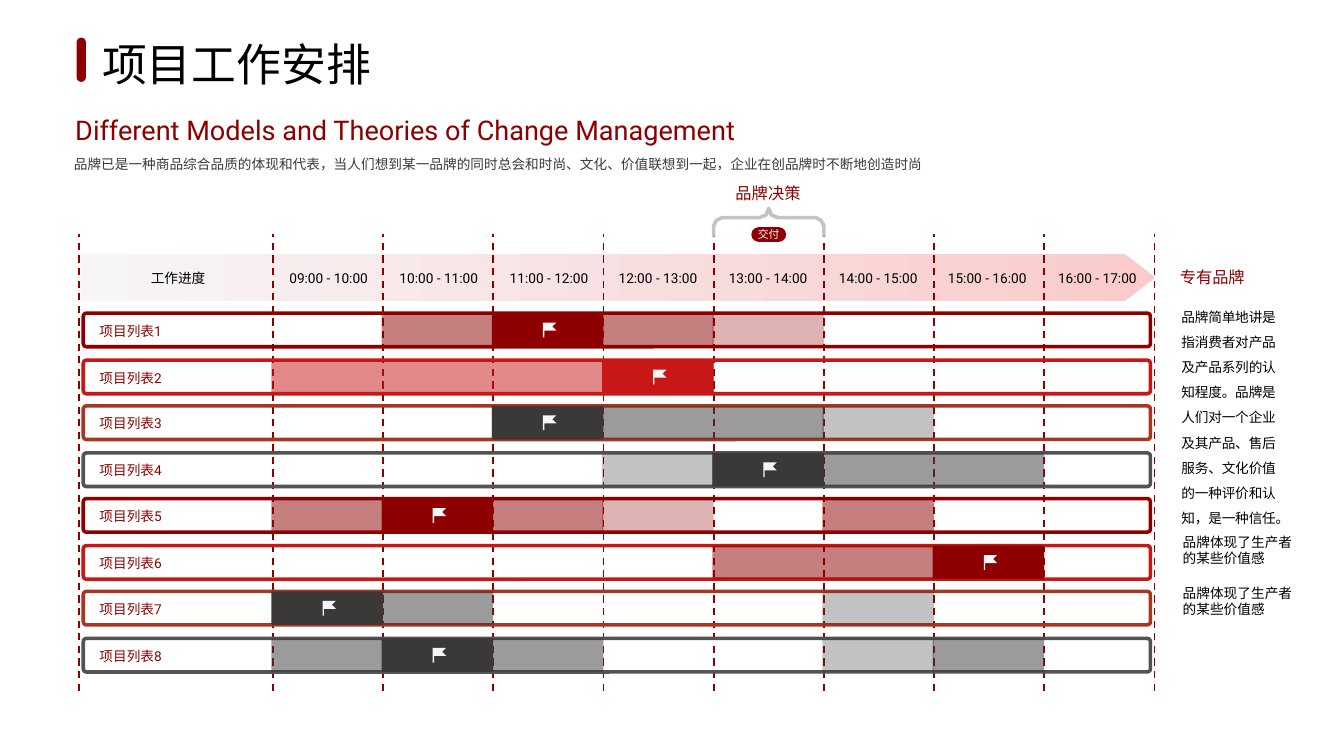
from dataclasses import dataclass

from lxml.etree import SubElement
from pptx import Presentation
from pptx.dml.color import RGBColor
from pptx.enum.dml import MSO_LINE
from pptx.enum.shapes import MSO_CONNECTOR as Link, MSO_SHAPE as Kind
from pptx.enum.text import MSO_ANCHOR as Anchor, MSO_AUTO_SIZE as Auto, PP_ALIGN as Align
from pptx.oxml.ns import qn
from pptx.util import Pt

SCALE = 9144  # EMU in one px, 100 px to the inch


@dataclass(frozen=True)
class Theme:
    wine: str = "8E0000"
    red: str = "C71717"
    rust: str = "A83623"
    gray: str = "535353"
    dark: str = "3B3838"
    black: str = "000000"
    white: str = "FFFFFF"
    pale: str = "F7F5F6"
    pink: str = "F9CBCB"
    silver: str = "C4C3C0"
    font: str = "Roboto"
    head: str = "Cabin"
    title: float = 24
    sub: float = 14.5
    label: float = 8.7
    body: float = 7.3
    tiny: float = 5.8
    dash: float = 0.97
    edge: float = 1.94


T = Theme()


@dataclass(frozen=True)
class Box:
    x: int
    y: int
    w: int
    h: int

    def emu(self) -> list[int]:
        return [v * SCALE for v in (self.x, self.y, self.w, self.h)]


@dataclass(frozen=True)
class Span:
    col: int
    count: int = 1
    alpha: int = 50


@dataclass(frozen=True)
class Row:
    edge: str
    fill: str
    flag: int
    spans: tuple[Span, ...]


ROWS = (
    Row(T.wine, T.wine, 2, (Span(1, 3), Span(4, alpha=30))),
    Row(T.red, T.red, 3, (Span(0, 4),)),
    Row(T.rust, T.dark, 2, (Span(2, 3), Span(5, alpha=30))),
    Row(T.gray, T.dark, 4, (Span(4, 3), Span(3, alpha=30))),
    Row(T.wine, T.wine, 1, (Span(0, 3), Span(3, alpha=30), Span(5))),
    Row(T.red, T.wine, 6, (Span(4, 3),)),
    Row(T.rust, T.dark, 0, (Span(1), Span(5, alpha=30))),
    Row(T.gray, T.dark, 1, (Span(0, 3), Span(5, alpha=30), Span(6))),
)
LEFT, STEP, COLS = 203, 82, 8
FLAG = ((0, 0), (10, 0), (7, 3), (10, 6), (1, 6), (1, 11), (0, 11))
HALF = ((41, 21), (41, 13), (39, 9), (35, 7), (7, 7), (2, 5), (0, 0))
BRACE = tuple((41 - x, y) for x, y in HALF) + tuple((41 + x, y) for x, y in HALF[-2::-1])
NOTE = "品牌体现了生产者的某些价值感"
BODY = ("品牌简单地讲是指消费者对产品及产品系列的认知程度。品牌是人们对一个企业"
        "及其产品、售后服务、文化价值的一种评价和认知，是一种信任。")
INTRO = ("品牌已是一种商品综合品质的体现和代表，当人们想到某一品牌的同时总会和时尚、"
         "文化、价值联想到一起，企业在创品牌时不断地创造时尚")


def rgb(code: str) -> RGBColor:
    return RGBColor.from_string(code)


def col_x(col: int) -> int:
    return LEFT + STEP * col


def write(shape, text: str, *, size=T.body, color=T.black, font=T.font, align=Align.LEFT,
          anchor=Anchor.TOP, pad=(2, 2), wrap=True, auto=Auto.SHAPE_TO_FIT_TEXT,
          space=None, track=0) -> None:
    """Fill a shape with one paragraph; pad is (side, top) in px."""
    frame = shape.text_frame
    frame.word_wrap, frame.auto_size, frame.vertical_anchor = wrap, auto, anchor
    frame.margin_left = frame.margin_right = pad[0] * SCALE
    frame.margin_top = frame.margin_bottom = pad[1] * SCALE
    para = frame.paragraphs[0]
    para.alignment = align
    if space:
        para.line_spacing = space
    run = para.add_run()
    run.text = text
    run.font.size, run.font.name = Pt(size), font
    run.font.color.rgb = rgb(color)
    if track:
        run.font._element.set("spc", str(track))


def label(slide, box: Box, text: str, **style) -> None:
    write(slide.shapes.add_textbox(*box.emu()), text, **style)


def paint(shape, fill: str | None = None, edge: str | None = None, alpha: int = 100) -> None:
    shape.shadow.inherit = False
    if fill:
        shape.fill.solid()
        shape.fill.fore_color.rgb = rgb(fill)
        if alpha < 100:
            tint = shape.element.spPr.find(qn("a:solidFill"))[0]
            SubElement(tint, qn("a:alpha"), val=str(alpha * 1000))
    else:
        shape.fill.background()
    if edge:
        shape.line.color.rgb = rgb(edge)
        shape.line.width = Pt(T.edge)
    else:
        shape.line.fill.background()


def block(slide, kind: Kind, box: Box, round_by: float | None = None, **style):
    shape = slide.shapes.add_shape(kind, *box.emu())
    if round_by is not None:
        shape.adjustments[0] = round_by
    paint(shape, **style)
    return shape


def trace(slide, dots: tuple, x: int, y: int, close: bool = True, **style) -> None:
    """Draw an outline through dots given relative to (x, y)."""
    pen = slide.shapes.build_freeform(*dots[0], scale=SCALE)
    pen.add_line_segments(dots[1:], close=close)
    paint(pen.convert_to_shape(x * SCALE, y * SCALE), **style)


def rule(slide, x: int) -> None:
    """Draw one dashed column line."""
    line = slide.shapes.add_connector(
        Link.STRAIGHT, x * SCALE, 514 * SCALE, x * SCALE, 174 * SCALE)
    line.line.color.rgb = rgb(T.wine)
    line.line.width = Pt(T.dash)
    line.line.dash_style = MSO_LINE.DASH
    SubElement(line.element.spPr, qn("a:effectLst"))


def bar(slide, row: Row, span: Span, y: int) -> None:
    box = Box(col_x(span.col) - 1, y, STEP * span.count + 1, 25)
    block(slide, Kind.RECTANGLE, box, fill=row.fill, alpha=span.alpha)


def task(slide, num: int, row: Row) -> None:
    y = 233 + (69 * num + 1) // 2
    block(slide, Kind.ROUNDED_RECTANGLE, Box(62, y, 794, 25), 0.093, edge=row.edge)
    label(slide, Box(72, y + 5, 119, 16), f"项目列表{num + 1}", color=T.wine)
    for span in (*row.spans, Span(row.flag, alpha=100)):
        bar(slide, row, span, y)
    trace(slide, FLAG, col_x(row.flag) + 37, y + 7, fill=T.pale)


def header(slide) -> None:
    arrow = block(slide, Kind.RIGHT_ARROW, Box(60, 189, 799, 35), 1)
    arrow.adjustments[1] = 0.644
    arrow.fill.gradient()
    arrow.fill.gradient_angle = 0
    for stop, color in zip(arrow.fill.gradient_stops, (T.pale, T.pink)):
        stop.color.rgb = rgb(color)
    for x in (59, *map(col_x, range(COLS + 1))):
        rule(slide, x)
    label(slide, Box(89, 199, 87, 16), "工作进度", align=Align.CENTER)
    for col in range(COLS):
        text = f"{col + 9:02}:00 - {col + 10}:00"
        x = round(204 + 81.75 * col)
        label(slide, Box(x, 199, 81, 16), text, align=Align.CENTER)


def callout(slide) -> None:
    trace(slide, BRACE, 531, 155, close=False, edge=T.silver)
    pill = block(slide, Kind.ROUNDED_RECTANGLE, Box(559, 169, 26, 11), 0.5, fill=T.wine)
    write(pill, "交付", size=T.tiny, color=T.white, align=Align.CENTER,
          anchor=Anchor.MIDDLE, pad=(0, 0), auto=Auto.NONE)
    label(slide, Box(543, 134, 57, 19), "品牌决策", size=T.label, color=T.wine,
          align=Align.CENTER)


def side(slide) -> None:
    label(slide, Box(871, 195, 84, 22), "专有品牌", size=T.label, color=T.wine,
          anchor=Anchor.BOTTOM, pad=(7, 4), track=-10)
    label(slide, Box(872, 219, 92, 162), BODY, pad=(7, 4), space=Pt(13.5), track=-10)
    for y in (395, 433):
        label(slide, Box(878, y, 89, 29), NOTE)


def main() -> None:
    deck = Presentation()
    deck.slide_width, deck.slide_height = 1000 * SCALE, 1125 * SCALE // 2
    slide = deck.slides.add_slide(deck.slide_layouts[5])
    title = slide.shapes.title
    title.left, title.top, title.width, title.height = Box(66, 22, 222, 50).emu()
    write(title, "项目工作安排", size=T.title, font=T.head, pad=(10, 5), wrap=False)
    block(slide, Kind.ROUNDED_RECTANGLE, Box(57, 28, 7, 33), 0.5, fill=T.wine)
    header(slide)
    for num, row in enumerate(ROWS):
        task(slide, num, row)
    callout(slide)
    side(slide)
    label(slide, Box(54, 82, 723, 29), "Different Models and Theories of Change Management",
          size=T.sub, color=T.wine)
    label(slide, Box(53, 108, 676, 20), INTRO, color=T.dark, space=1.5)
    deck.save("out.pptx")


if __name__ == "__main__":
    main()
